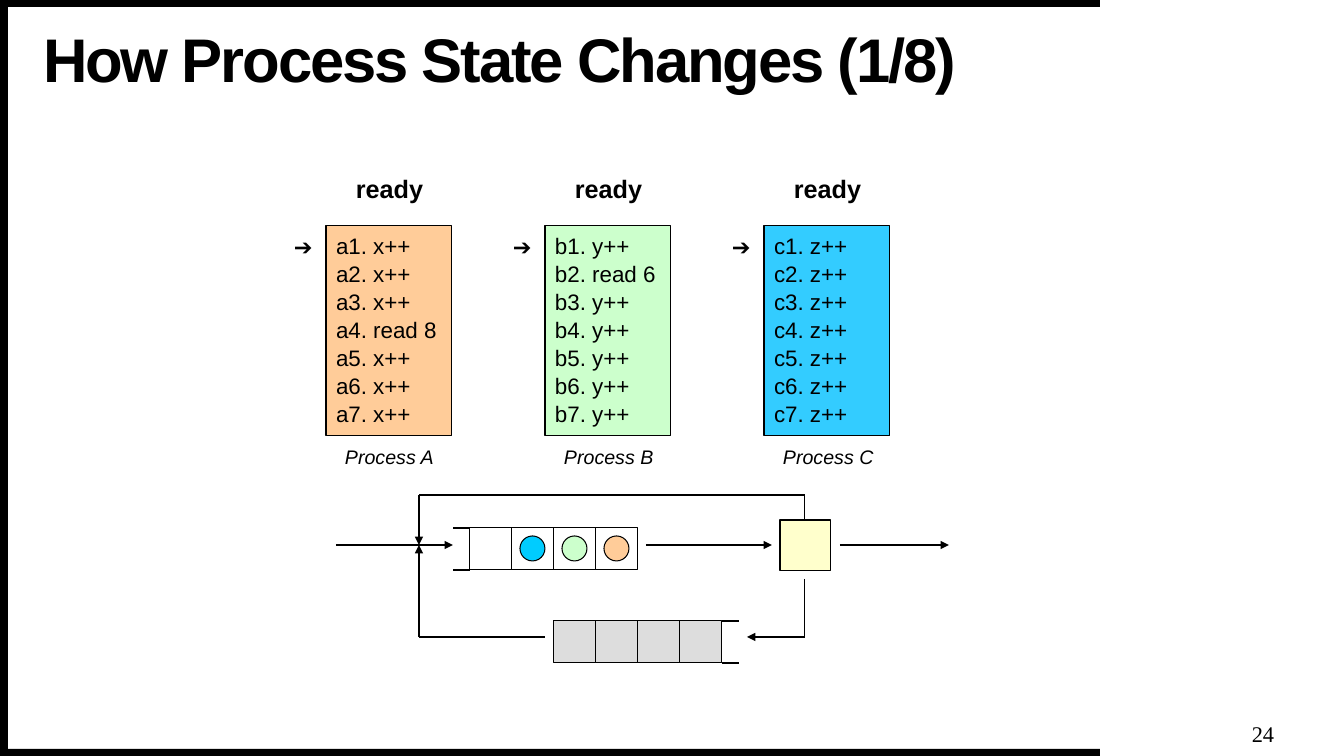
import pptx
import pptx.util
import pptx.dml.color
import pptx.enum.shapes
import pptx.enum.text
import pptx.oxml.ns
from lxml import etree

# Content
TITLE = "How Process State Changes (1/8)"
PAGE = "24"
PROCESSES = [
    ("Process A", "ready", "orange",
     ["a1. x++", "a2. x++", "a3. x++", "a4. read 8", "a5. x++", "a6. x++", "a7. x++"]),
    ("Process B", "ready", "green",
     ["b1. y++", "b2. read 6", "b3. y++", "b4. y++", "b5. y++", "b6. y++", "b7. y++"]),
    ("Process C", "ready", "blue",
     ["c1. z++", "c2. z++", "c3. z++", "c4. z++", "c5. z++", "c6. z++", "c7. z++"]),
]
POINTER = "➔"
READY_QUEUE = [None, "cyan", "green", "orange"]
WAITING_SLOTS = 4

# Theme
THEME = {
    "font": "Arial", "page_font": "Times New Roman",
    "title": 44, "state": 18, "code": 16, "name": 14, "page": 16,
    "black": "000000", "white": "FFFFFF", "grey": "DDDDDD", "yellow": "FFFFCC",
    "orange": "FFCC99", "green": "CCFFCC", "blue": "33CCFF", "cyan": "00CCFF",
    "line": 0.75, "stub": 1,
}

# Layout in px
PX = 914400 / 100.8
FRAME = [(0, 749, 1100, 7), (0, 0, 1100, 7), (0, 4, 8, 752)]
BOX_X, BOX_Y, BOX_W, BOX_H, BOX_PITCH = 326, 226, 126, 210, 219
CELL, STUB, DOT = 42, 17, 25
READY_X, READY_Y = 470, 528
WAIT_X, WAIT_Y = 554, 621
CPU = (780, 520, 51, 51)
FLOW_Y, RETURN_Y, WAIT_FLOW_Y = 545, 495, 637
JOIN_X, CPU_X = 419, 805
# Each path is a list of corners; the last leg carries the arrowhead
PATHS = [
    [(336, FLOW_Y), (453, FLOW_Y)],
    [(646, FLOW_Y), (772, FLOW_Y)],
    [(840, FLOW_Y), (949, FLOW_Y)],
    [(CPU_X, 520), (CPU_X, RETURN_Y), (JOIN_X, RETURN_Y), (JOIN_X, FLOW_Y)],
    [(CPU_X, 579), (CPU_X, WAIT_FLOW_Y), (747, WAIT_FLOW_Y)],
    [(545, WAIT_FLOW_Y), (JOIN_X, WAIT_FLOW_Y), (JOIN_X, FLOW_Y)],
]

SHAPE = pptx.enum.shapes.MSO_SHAPE
ALIGN = pptx.enum.text.PP_ALIGN
ANCHOR = pptx.enum.text.MSO_ANCHOR


def px(n):
    return round(n * PX)


def rgb(name):
    return pptx.dml.color.RGBColor.from_string(THEME[name])


def add_shape(s, box, fill, kind=SHAPE.RECTANGLE, outline=True):
    sp = s.shapes.add_shape(kind, *map(px, box))
    sp.shadow.inherit = False
    sp.fill.solid()
    sp.fill.fore_color.rgb = rgb(fill)
    if outline:
        sp.line.color.rgb = rgb("black")
        sp.line.width = pptx.util.Pt(THEME["line"])
    else:
        sp.line.fill.background()
    return sp


def set_text(sp, lines, size, align=ALIGN.LEFT, anchor=ANCHOR.MIDDLE, inset=(10, 5, 0, 5),
             spacing=None, font="font", bold=False, italic=False, tracking=None):
    tf = sp.text_frame
    tf.word_wrap = True
    tf.vertical_anchor = anchor
    tf.margin_left, tf.margin_top, tf.margin_right, tf.margin_bottom = map(px, inset)
    p = tf.paragraphs[0]
    p.alignment = align
    if spacing:
        p.line_spacing = spacing
    for i, line in enumerate(lines):
        if i:
            p.add_line_break()
        r = p.add_run()
        r.text = line
        r.font.name = THEME[font]
        r.font.size = pptx.util.Pt(THEME[size])
        r.font.bold, r.font.italic = bold, italic
        r.font.color.rgb = rgb("black")
        if tracking:
            r.font._element.set("spc", str(tracking))


def add_label(s, box, text, size, **style):
    set_text(s.shapes.add_textbox(*map(px, box)), [text], size, **style)


def add_line(s, start, end, width="line", arrow=False):
    cx = s.shapes.add_connector(pptx.enum.shapes.MSO_CONNECTOR.STRAIGHT,
                                *map(px, start + end))
    cx.line.color.rgb = rgb("black")
    cx.line.width = pptx.util.Pt(THEME[width])
    if arrow:
        tail = etree.SubElement(cx.line._get_or_add_ln(), pptx.oxml.ns.qn("a:tailEnd"))
        tail.set("type", "triangle")
    etree.SubElement(cx._element.spPr, pptx.oxml.ns.qn("a:effectLst"))


def add_queue(s, x, y, fills, open_x, direction):
    for i, fill in enumerate(fills):
        add_shape(s, (x + i * CELL, y, CELL, CELL), fill)
    for stub_y in (y, y + CELL):
        add_line(s, (open_x, stub_y), (open_x + direction * STUB, stub_y), "stub")


def add_process(s, i, name, state, fill, code):
    x = BOX_X + i * BOX_PITCH
    sp = add_shape(s, (x, BOX_Y, BOX_W, BOX_H), fill)
    set_text(sp, code, "code", anchor=ANCHOR.TOP, spacing=1.04)
    add_label(s, (x + 9, 167, 109, 42), state, "state", align=ALIGN.CENTER,
              inset=(0, 0, 0, 0), bold=True)
    add_label(s, (x - 42, 234, 42, 25), POINTER, "code")
    add_label(s, (x + 9, 440, 118, 33), name, "name", anchor=ANCHOR.TOP, italic=True)


def main():
    prs = pptx.Presentation()
    prs.slide_width, prs.slide_height = px(1344), px(756)
    s = prs.slides.add_slide(prs.slide_layouts[6])

    # Frame, title and page number
    for bar in FRAME:
        add_shape(s, bar, "black", outline=False)
    add_label(s, (43, 25, 1014, 75), TITLE, "title", inset=(0, 0, 0, 0),
              spacing=0.9, bold=True, tracking=-150)
    add_label(s, (1248, 719, 30, 30), PAGE, "page", align=ALIGN.CENTER,
              inset=(0, 0, 0, 0), font="page_font")

    # Queues, processor and flow
    add_queue(s, READY_X, READY_Y, ["white"] * len(READY_QUEUE), READY_X, -1)
    add_queue(s, WAIT_X, WAIT_Y, ["grey"] * WAITING_SLOTS,
              WAIT_X + WAITING_SLOTS * CELL, 1)
    add_shape(s, CPU, "yellow")
    for path in PATHS:
        for leg, (start, end) in enumerate(zip(path, path[1:]), 2):
            add_line(s, start, end, arrow=leg == len(path))

    # Queued processes
    for i, fill in enumerate(READY_QUEUE):
        if fill:
            add_shape(s, (READY_X + i * CELL + 8, READY_Y + 8, DOT, DOT), fill, SHAPE.OVAL)

    # Process listings
    for i, process in enumerate(PROCESSES):
        add_process(s, i, *process)

    prs.save("out.pptx")


if __name__ == "__main__":
    main()
